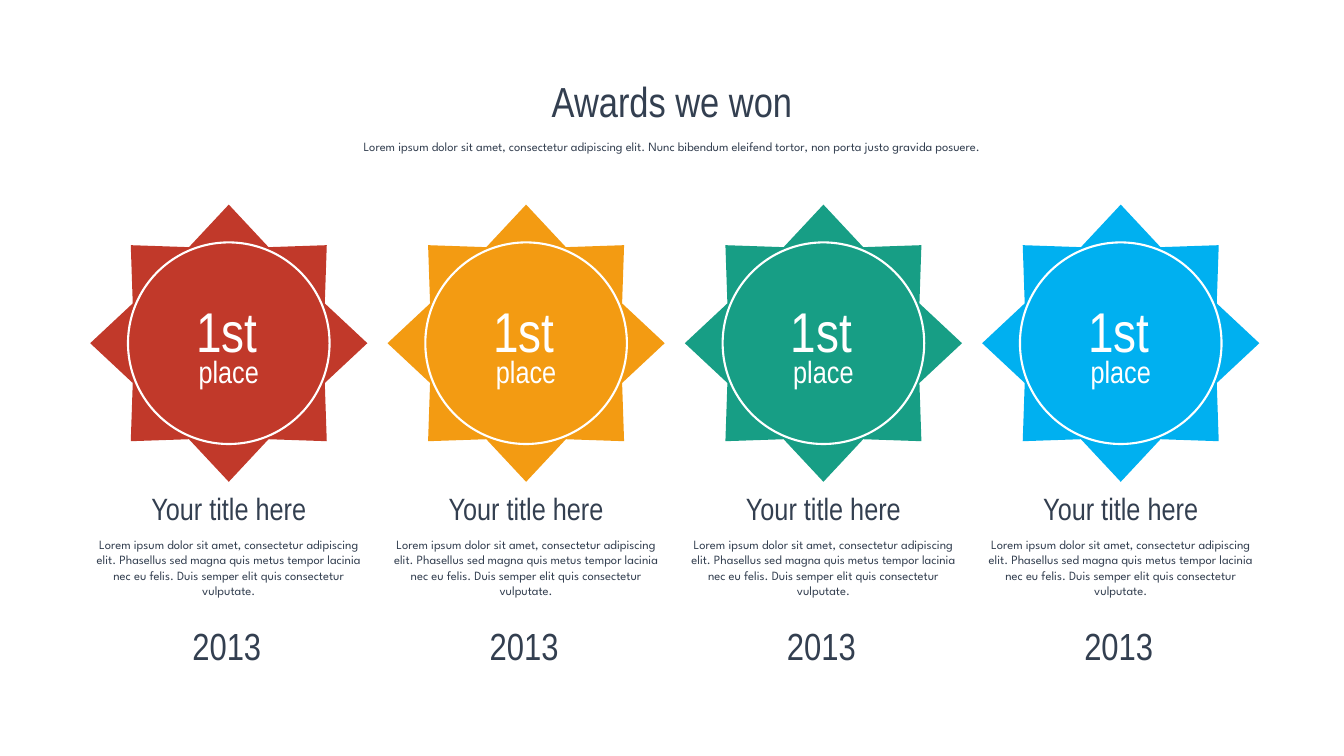
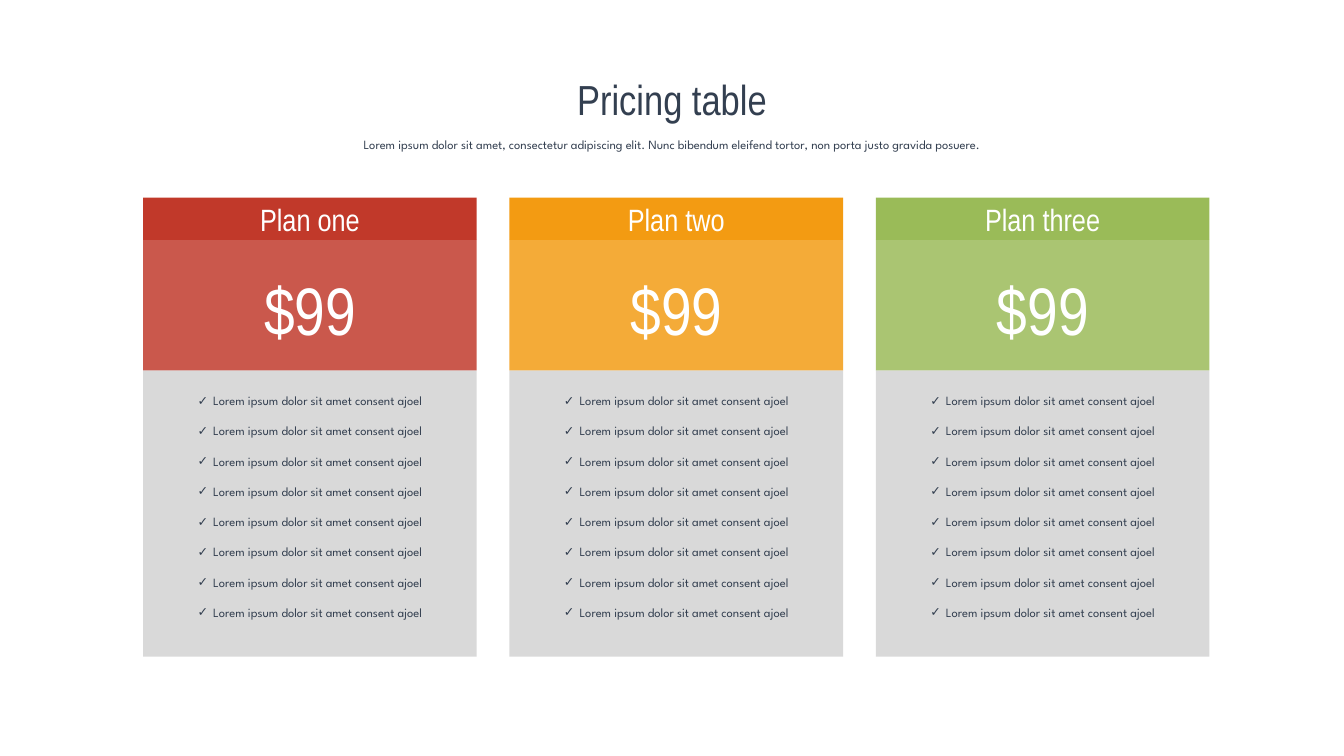
from lxml.etree import SubElement
from pptx import Presentation
from pptx.dml.color import RGBColor
from pptx.enum.shapes import MSO_SHAPE as Shape
from pptx.enum.text import MSO_ANCHOR as Anchor, MSO_AUTO_SIZE as Fit, PP_ALIGN as Align
from pptx.oxml.ns import qn
from pptx.util import Inches, Pt

WIDE, TALL = 26.67, 15
HEAD, BODY = "Arial Narrow", "League Spartan"
INK, WHITE, GREY = "333F50", "FFFFFF", "D9D9D9"
RED, AMBER, TEAL, BLUE, GREEN = "C1392A", "F39B12", "179E85", "00B0F0", "9ABB58"

INTRO = ("Lorem ipsum dolor sit amet, consectetur adipiscing elit. "
         "Nunc bibendum eleifend tortor, non porta justo gravida posuere.")
STORY = ("Lorem ipsum dolor sit amet, consectetur adipiscing elit. Phasellus sed magna quis "
         "metus tempor lacinia nec eu felis. Duis semper elit quis consectetur vulputate.")
PERK = "Lorem ipsum dolor sit amet consent ajoel"


def rgb(code):
    return RGBColor.from_string(code)


class Deck:
    def __init__(self):
        self.prs = Presentation()
        self.prs.slide_width = Inches(WIDE)
        self.prs.slide_height = Inches(TALL)
        self.slide = None

    def start(self, layout, title, top):
        """Add a slide with its title and the line of intro below."""
        self.slide = self.prs.slides.add_slide(self.prs.slide_layouts[layout])
        self.hold(0, 0, top, WIDE, 1.11, title, 60, HEAD)
        intro = self.hold(1, 0, top + 1.11, WIDE, 0.57, INTRO, 18, BODY)
        intro.text_frame.paragraphs[0].line_spacing = 1.5

    def letter(self, shape, text, size, font, color=INK, anchor=Anchor.TOP,
               fit=Fit.SHAPE_TO_FIT_TEXT, mark=None, gap=0):
        """Set the text of a shape and format it."""
        frame = shape.text_frame
        frame.text = text
        frame.word_wrap = True
        frame.auto_size = fit
        frame.vertical_anchor = anchor
        for i, para in enumerate(frame.paragraphs):
            if shape.is_placeholder:
                self.bullet(para, mark)
            para.alignment = Align.CENTER
            para.space_before = Pt(gap if i else 0)
            for run in para.runs:
                run.font.name, run.font.size = font, Pt(size)
                run.font.bold = False
                run.font.color.rgb = rgb(color)

    def bullet(self, para, mark):
        props = para._p.get_or_add_pPr()
        indent = Inches(0.31) if mark else 0
        props.set("marL", str(indent))
        props.set("indent", str(-indent))
        if mark:
            SubElement(props, qn("a:buChar"), char=mark)
        else:
            SubElement(props, qn("a:buNone"))

    def hold(self, idx, x, y, w, h, text, size, font, **style):
        """Place and fill the placeholder with this index."""
        spot = next(p for p in self.slide.placeholders if p.placeholder_format.idx == idx)
        spot.left, spot.top, spot.width, spot.height = map(Inches, (x, y, w, h))
        self.letter(spot, text, size, font, **style)
        return spot

    def label(self, x, y, w, h, text, size, font=HEAD, color=INK):
        box = self.slide.shapes.add_textbox(*map(Inches, (x, y, w, h)))
        self.letter(box, text, size, font, color)

    def form(self, kind, x, y, w, h, fill, line=None, alpha=None):
        shape = self.slide.shapes.add_shape(kind, *map(Inches, (x, y, w, h)))
        shape.shadow.inherit = False
        shape.fill.solid()
        shape.fill.fore_color.rgb = rgb(fill)
        if alpha:
            tint = shape.element.spPr.find(".//" + qn("a:srgbClr"))
            SubElement(tint, qn("a:alpha"), val=str(alpha * 1000))
        if line:
            shape.line.color.rgb = rgb(line)
            shape.line.width = Pt(3)
        else:
            shape.line.fill.background()
        return shape

    def award(self, x, color):
        side = 5.5
        self.form(Shape.STAR_8_POINT, x, 4.06, side, side, color)
        self.form(Shape.OVAL, x + 0.75, 4.81, 4, 4, color, WHITE)
        self.label(x, 6.95, side, 0.84, "place", 44, color=WHITE)
        self.label(x - 0.04, 5.83, side, 1.45, "1st", 80, color=WHITE)
        self.label(x, 9.66, side, 0.84, "Your title here", 44)
        self.label(x, 10.61, side, 1.31, STORY, 18, BODY)
        self.label(x - 0.04, 12.31, side, 1.01, "2013", 54)

    def plan(self, idx, x, name, color):
        wide = 6.62
        panel = self.form(Shape.RECTANGLE, x, 7.35, wide, 5.68, GREY)
        perks = self.hold(idx, x, 7.75, wide, 4.95, "\n".join([PERK] * 8), 18, BODY,
                          fit=Fit.NONE, mark="✓", gap=21.6)
        panel.element.addnext(perks.element)
        band = self.form(Shape.RECTANGLE, x, 3.92, wide, 0.84, color)
        self.letter(band, name, 44, HEAD, WHITE, Anchor.MIDDLE)
        self.form(Shape.RECTANGLE, x, 4.76, wide, 2.59, color, alpha=84)
        self.label(x + 1.28, 5.28, 4.07, 1.72, "$99", 96, color=WHITE)


def main():
    deck = Deck()
    deck.start(1, "Awards we won", 1.45)
    for i, color in enumerate((RED, AMBER, TEAL, BLUE)):
        deck.award(1.79 + 5.9 * i, color)

    deck.start(4, "Pricing table", 1.41)
    plans = (("Plan one", RED), ("Plan two", AMBER), ("Plan three", GREEN))
    for i, (name, color) in enumerate(plans):
        deck.plan(i + 2, 2.84 + 7.27 * i, name, color)
    deck.prs.save("out.pptx")


if __name__ == "__main__":
    main()
